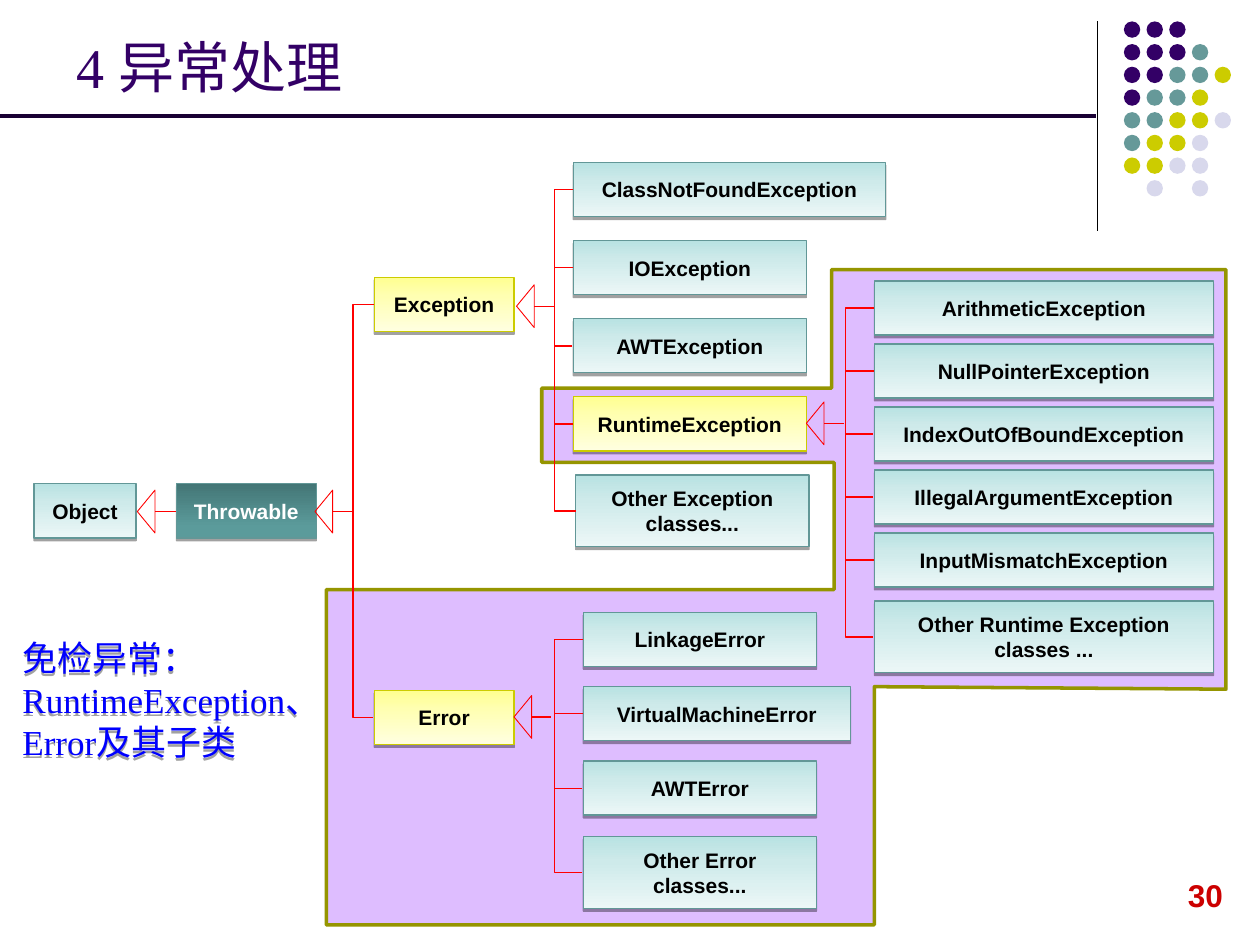
import pptx
import pptx.util
from lxml import etree
from pptx.dml.color import RGBColor
from pptx.enum.shapes import MSO_CONNECTOR, MSO_SHAPE
from pptx.enum.text import MSO_ANCHOR, MSO_AUTO_SIZE, PP_ALIGN
from pptx.oxml.ns import qn
from pptx.util import Inches

BLACK = RGBColor(0x00, 0x00, 0x00)
WHITE = RGBColor(0xFF, 0xFF, 0xFF)
RED = RGBColor(0xFF, 0x00, 0x00)
PAGE_RED = RGBColor(0xCC, 0x00, 0x00)
BLUE = RGBColor(0x00, 0x00, 0xFF)
PURPLE = RGBColor(0x33, 0x00, 0x66)
DARK_PURPLE = RGBColor(0x19, 0x00, 0x33)
LILAC = RGBColor(0xAD, 0x5C, 0xFF)
OLIVE = RGBColor(0x95, 0x95, 0x00)
TEAL = RGBColor(0x66, 0x99, 0x99)
TEAL_LINE = RGBColor(0x62, 0x97, 0x97)
YELLOW = RGBColor(0xCC, 0xCC, 0x00)
PALE = RGBColor(0xD8, 0xD8, 0xEC)

# Box styles: gradient stops (percent, colour), outline, text colour
LIGHT = (((0, "B8E2E2"), (35, "CEEAEA"), (100, "ECF7F7")), TEAL_LINE, BLACK)
DARK = (((0, "447676"), (80, "5B9B9B"), (100, "5A9D9D")), TEAL_LINE, WHITE)
GOLD = (((0, "FFFF90"), (35, "FFFFB2"), (100, "FFFFE0")), YELLOW, BLACK)

DOT_COLOURS = {"P": PURPLE, "T": TEAL, "Y": YELLOW, "L": PALE}
DOT_ROWS = ("PPP", "PPPT", "PPTTY", "PTTY", "TTYYL", "TYYL", "YYLL", " L L")
DOT_LEFT, DOT_TOP, DOT_PITCH, DOT_SIZE = 8.92, 0.17, 0.18, 0.13

BOX_HEIGHT = 0.43
TALL_HEIGHT = 0.57
UNCHECKED_OUTLINE = (
    (4.3, 3.08), (6.6, 3.08), (6.6, 2.14), (9.73, 2.14), (9.73, 5.47), (6.94, 5.45),
    (6.94, 7.34), (2.59, 7.34), (2.59, 4.68), (6.62, 4.68), (6.62, 3.67), (4.3, 3.67))


def write_text(shape, *lines, size, colour, font="Arial", bold=False, align=None,
               anchor=MSO_ANCHOR.TOP, wrap=True):
    frame = shape.text_frame
    frame.word_wrap = wrap
    frame.vertical_anchor = anchor
    for index, line in enumerate(lines):
        paragraph = frame.add_paragraph() if index else frame.paragraphs[0]
        paragraph.alignment = align
        run = paragraph.add_run()
        run.text = line
        run.font.size = pptx.util.Pt(size)
        run.font.name = font
        run.font.bold = bold
        run.font.color.rgb = colour


def add_label(slide, left, top, width, height, *lines, grow=False, **text_format):
    label = slide.shapes.add_textbox(*map(Inches, (left, top, width, height)))
    write_text(label, *lines, **text_format)
    if grow:
        label.text_frame.auto_size = MSO_AUTO_SIZE.SHAPE_TO_FIT_TEXT
    return label


def set_line(shape, colour, width):
    shape.line.color.rgb = colour
    shape.line.width = pptx.util.Pt(width)


def add_shadow(shape, opacity=37, distance=1.6):
    """Drop a black shadow straight down; distance in points."""
    shape.shadow.inherit = False
    effects = shape._element.spPr.find(qn("a:effectLst"))
    shadow = etree.SubElement(effects, qn("a:outerShdw"), blurRad="0",
                              dist=str(int(pptx.util.Pt(distance))), dir="5400000",
                              rotWithShape="0")
    colour = etree.SubElement(shadow, qn("a:srgbClr"), val="000000")
    etree.SubElement(colour, qn("a:alpha"), val=str(opacity * 1000))


def fill_gradient(shape, stops):
    shape.fill.gradient()
    shape.fill.gradient_angle = 270
    stop_list = shape._element.spPr.find(qn("a:gradFill")).find(qn("a:gsLst"))
    for stop in list(stop_list):
        stop_list.remove(stop)
    for percent, colour in stops:
        stop = etree.SubElement(stop_list, qn("a:gs"), pos=str(percent * 1000))
        etree.SubElement(stop, qn("a:srgbClr"), val=colour)


def add_box(slide, text, left, top, width, height=BOX_HEIGHT, style=LIGHT):
    stops, outline, text_colour = style
    box = slide.shapes.add_shape(MSO_SHAPE.RECTANGLE,
                                 *map(Inches, (left, top, width, height)))
    fill_gradient(box, stops)
    set_line(box, outline, 0.75)
    add_shadow(box)
    write_text(box, text, size=12, colour=text_colour, bold=True,
               align=PP_ALIGN.CENTER, anchor=MSO_ANCHOR.MIDDLE)
    return box


def add_column(slide, left, top, pitch, entries):
    """Stack boxes at an equal pitch; entries are (text, width, style)."""
    return [add_box(slide, text, left, top + row * pitch, width, style=style)
            for row, (text, width, style) in enumerate(entries)]


def add_line(slide, start, end, colour=RED, width=0.75, kind=MSO_CONNECTOR.STRAIGHT):
    line = slide.shapes.add_connector(kind, *map(Inches, (*start, *end)))
    set_line(line, colour, width)
    etree.SubElement(line._element.spPr, qn("a:effectLst"))
    return line


def add_bracket(slide, trunk, upper, lower):
    """Join the left edges of two boxes by an elbow running along x = trunk."""
    (start_x, start_y), (end_x, end_y) = [
        (box.left.inches, (box.top + box.height / 2) / Inches(1)) for box in (upper, lower)]
    if abs(start_x - end_x) < 0.01:
        end_x = start_x - 0.01  # the bend is a share of the width, which must not be zero
    bracket = add_line(slide, (start_x, start_y), (end_x, end_y), kind=MSO_CONNECTOR.ELBOW)
    bend = round((start_x - trunk) / (start_x - end_x) * 100000)
    geometry = bracket._element.spPr.find(qn("a:prstGeom"))
    adjustments = geometry.find(qn("a:avLst"))
    etree.SubElement(adjustments, qn("a:gd"), name="adj1", fmla=f"val {bend}")


def add_inheritance_arrow(slide, tip, middle, end):
    """Hollow triangle pointing left at tip, with a stem to x = end."""
    base, depth = 0.34, 0.14
    triangle = slide.shapes.add_shape(
        MSO_SHAPE.ISOSCELES_TRIANGLE,
        *map(Inches, (tip + (depth - base) / 2, middle - depth / 2, base, depth)))
    triangle.rotation = 270
    triangle.shadow.inherit = False
    triangle.fill.background()
    set_line(triangle, RED, 0.5)
    add_line(slide, (tip + depth, middle), (end, middle))


def add_dots(slide):
    for row, pattern in enumerate(DOT_ROWS):
        for column, key in enumerate(pattern):
            if key in DOT_COLOURS:
                dot = slide.shapes.add_shape(
                    MSO_SHAPE.OVAL, Inches(DOT_LEFT + column * DOT_PITCH),
                    Inches(DOT_TOP + row * DOT_PITCH), Inches(DOT_SIZE), Inches(DOT_SIZE))
                dot.shadow.inherit = False
                dot.fill.solid()
                dot.fill.fore_color.rgb = DOT_COLOURS[key]
                dot.line.fill.background()


def add_unchecked_area(slide):
    corners = [(Inches(x), Inches(y)) for x, y in UNCHECKED_OUTLINE]
    builder = slide.shapes.build_freeform(*corners[0])
    builder.add_line_segments(corners[1:], close=True)
    area = builder.convert_to_shape()
    area.shadow.inherit = False
    area.fill.solid()
    area.fill.fore_color.rgb = LILAC
    colour = area._element.spPr.find(qn("a:solidFill")).find(qn("a:srgbClr"))
    etree.SubElement(colour, qn("a:alpha"), val="40000")
    set_line(area, OLIVE, 2)


def add_class_tree(slide):
    add_box(slide, "Object", 0.27, 3.84, 0.81)
    add_box(slide, "Throwable", 1.4, 3.84, 1.11, style=DARK)
    exception = add_box(slide, "Exception", 2.97, 2.2, 1.11, style=GOLD)
    error = add_box(slide, "Error", 2.97, 5.48, 1.11, style=GOLD)

    exceptions = add_column(slide, 4.55, 1.29, 0.62, (
        ("ClassNotFoundException", 2.48, LIGHT), ("IOException", 1.85, LIGHT),
        ("AWTException", 1.85, LIGHT), ("RuntimeException", 1.85, GOLD)))
    exceptions.append(add_box(slide, "Other Exception classes...", 4.57, 3.77, 1.85, TALL_HEIGHT))

    errors = add_column(slide, 4.63, 4.86, 0.59, (
        ("LinkageError", 1.85, LIGHT), ("VirtualMachineError", 2.12, LIGHT),
        ("AWTError", 1.85, LIGHT)))
    errors.append(add_box(slide, "Other Error classes...", 4.63, 6.64, 1.85, TALL_HEIGHT))

    runtime_names = ("ArithmeticException", "NullPointerException", "IndexOutOfBoundException",
                     "IllegalArgumentException", "InputMismatchException")
    runtimes = add_column(slide, 6.94, 2.23, 0.5,
                          [(name, 2.69, LIGHT) for name in runtime_names])
    runtimes.append(add_box(slide, "Other Runtime Exception classes ...",
                            6.94, 4.77, 2.69, TALL_HEIGHT))

    add_bracket(slide, 2.8, exception, error)
    for trunk, boxes, pairs in ((4.4, exceptions, ((0, 4), (1, 2), (3, 2))),
                                (4.4, errors, ((0, 3), (1, 2))),
                                (6.71, runtimes, ((0, 5), (1, 3), (4, 2)))):
        for first, second in pairs:
            add_bracket(slide, trunk, boxes[first], boxes[second])
    for tip, middle, end in ((1.09, 4.06, 1.4), (2.5, 4.06, 2.8), (4.1, 2.43, 4.4),
                             (4.08, 5.69, 4.37), (6.4, 3.36, 6.7)):
        add_inheritance_arrow(slide, tip, middle, end)


def main():
    presentation = pptx.Presentation()
    presentation.slide_width, presentation.slide_height = Inches(10), Inches(7.5)
    slide = presentation.slides.add_slide(presentation.slide_layouts[6])

    add_line(slide, (8.71, 0.17), (8.71, 1.83), BLACK)
    add_dots(slide)
    add_label(slide, 9.33, 6.9, 0.48, 0.4, "30", size=18, colour=PAGE_RED, bold=True,
              wrap=False, grow=True)
    add_unchecked_area(slide)
    add_class_tree(slide)
    note = add_label(slide, 0.08, 5, 2.88, 1.11, "免检异常：", "RuntimeException、Error及其子类",
                     size=20, colour=BLUE, font="Times New Roman", grow=True)
    add_shadow(note)
    add_line(slide, (0, 0.92), (8.7, 0.92), DARK_PURPLE, 2.25)
    add_label(slide, 0.51, 0.21, 8.25, 0.79, "4 异常处理", size=32, colour=PURPLE,
              font="Times New Roman")
    presentation.save("out.pptx")


if __name__ == "__main__":
    main()
